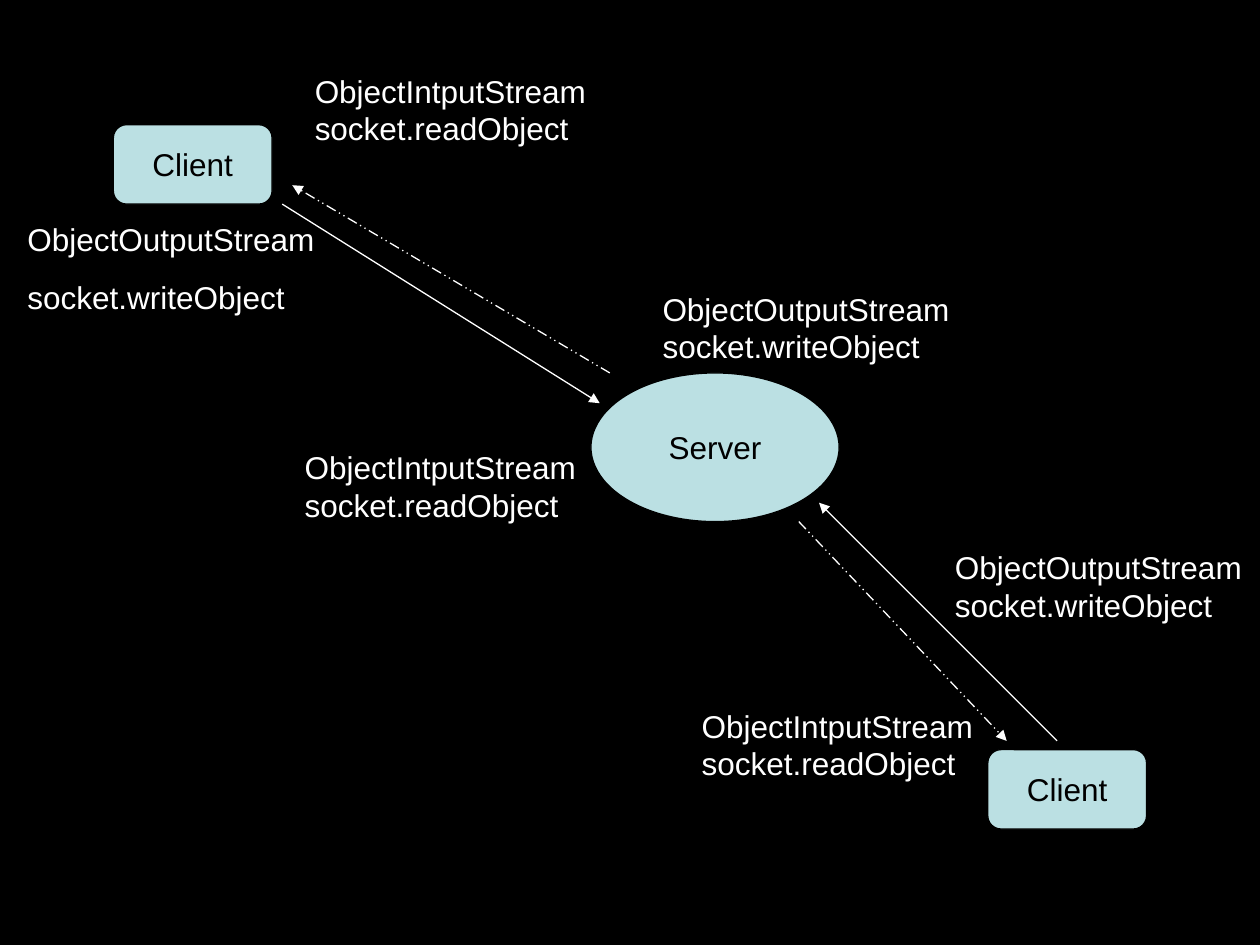
from lxml.etree import SubElement
from pptx import Presentation
from pptx.dml.color import RGBColor
from pptx.enum.dml import MSO_LINE as DASH
from pptx.enum.shapes import MSO_CONNECTOR, MSO_SHAPE as SHAPE
from pptx.enum.text import MSO_ANCHOR, PP_ALIGN
from pptx.oxml.ns import qn
from pptx.util import Inches, Pt

BLACK, WHITE, PALE_BLUE = "000000", "FFFFFF", "BBE0E3"
COLS, ROWS = 100, 75

prs = Presentation()
prs.slide_width, prs.slide_height = Inches(10), Inches(7.5)
s = prs.slides.add_slide(prs.slide_layouts[6])


def grid(*cells):
    """Turn alternating column and row counts into slide lengths."""
    units = (prs.slide_width / COLS, prs.slide_height / ROWS)
    return [round(cell * units[i % 2]) for i, cell in enumerate(cells)]


def paint(fmt, color):
    """Give a fill, line or font a solid colour."""
    if hasattr(fmt, "solid"):
        fmt.solid()
    target = fmt.fore_color if hasattr(fmt, "fore_color") else fmt.color
    target.rgb = RGBColor.from_string(color)


paint(s.background.fill, BLACK)

# Server and clients
nodes = [
    ("Server", SHAPE.OVAL, 46.9, 29.6, 19.7, 11.8),
    ("Client", SHAPE.ROUNDED_RECTANGLE, 78.4, 59.5, 12.6, 6.3),
    ("Client", SHAPE.ROUNDED_RECTANGLE, 9, 9.9, 12.6, 6.3),
]
for name, kind, *place in nodes:
    sp = s.shapes.add_shape(kind, *grid(*place))
    sp.shadow.inherit = False
    paint(sp.fill, PALE_BLUE)
    paint(sp.line, BLACK)
    sp.line.width = Pt(0.75)
    tf = sp.text_frame
    tf.text = name
    tf.word_wrap = False
    tf.vertical_anchor = MSO_ANCHOR.MIDDLE
    p = tf.paragraphs[0]
    p.alignment = PP_ALIGN.CENTER
    p.font.name, p.font.size = "Arial", Pt(18)
    paint(p.font, BLACK)

# Solid arrows write to the server, dashed arrows answer the clients
arrows = [
    (DASH.SOLID, 22.4, 16.2, 47.6, 32),
    (DASH.SOLID, 83.9, 58.8, 65, 39.9),
    (DASH.DASH_DOT_DOT, 63.4, 41.4, 79.9, 58.8),
    (DASH.DASH_DOT_DOT, 48.4, 29.6, 23.2, 14.7),
]
for dash, *ends in arrows:
    line = s.shapes.add_connector(MSO_CONNECTOR.STRAIGHT, *grid(*ends))
    paint(line.line, WHITE)
    line.line.width = Pt(0.75)
    line.line.dash_style = dash
    sp_pr = line._element.spPr
    SubElement(sp_pr.find(qn("a:ln")), qn("a:tailEnd"), type="triangle")
    SubElement(sp_pr, qn("a:effectLst"))

# Stream labels
WRITE = ("ObjectOutputStream", "socket.writeObject")
READ = ("ObjectIntputStream", "socket.readObject")
labels = [
    (WRITE, 0, 51.6, 22.5, 25.2, 7),
    (WRITE, 11.2, 1.2, 17, 49.6, 8.6),
    (WRITE, 0, 74.8, 43, 25.2, 10),
    (READ, 0, 23.2, 35.1, 24.4, 7),
    (READ, 0, 24, 5.2, 50, 7),
    (READ, 0, 54.7, 55.6, 24.4, 7),
]
for words, gap, *place in labels:
    tf = s.shapes.add_textbox(*grid(*place)).text_frame
    tf.word_wrap = True
    tf.text = "\n".join(words)
    for p in tf.paragraphs:
        p.font.name, p.font.size = "Arial", Pt(18)
        paint(p.font, WHITE)
    tf.paragraphs[1].space_before = Pt(gap)

prs.save("out.pptx")
